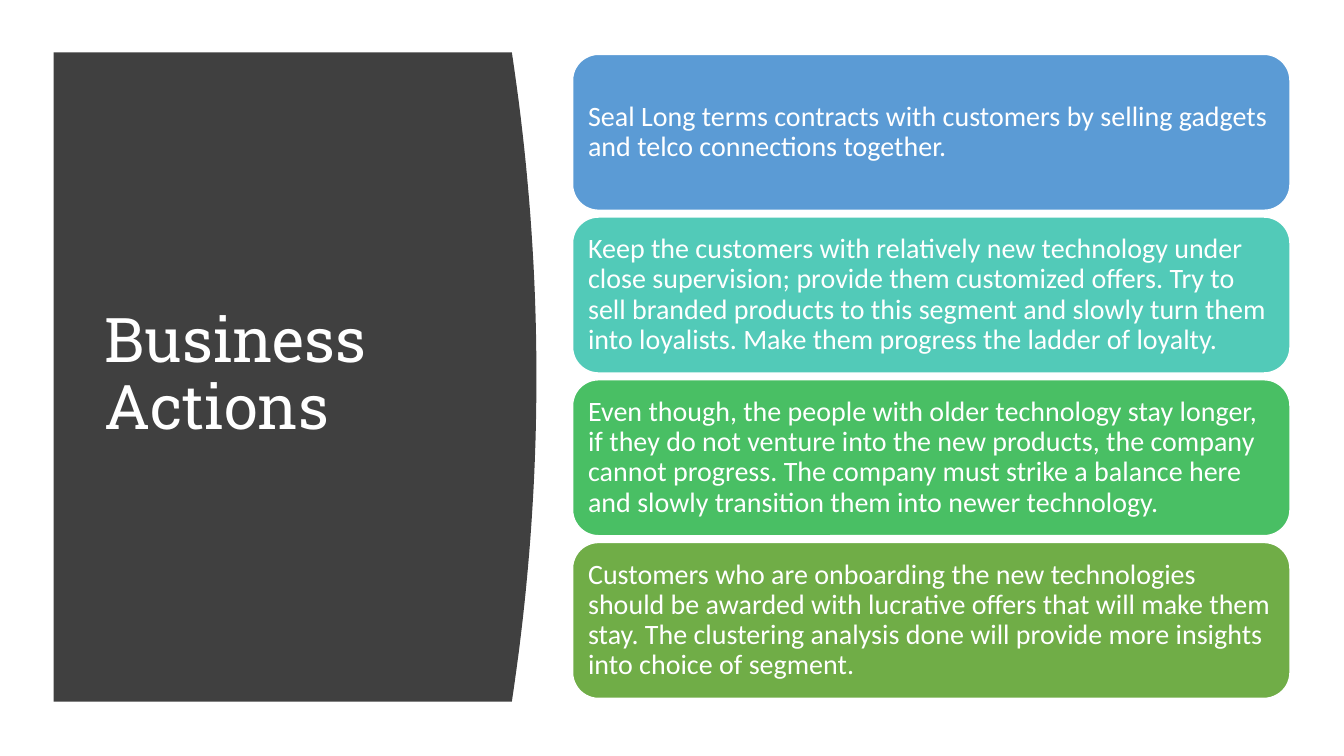
"""Build the Business Actions slide: a curved title panel and four action cards."""
from pptx import Presentation
from pptx.dml.color import RGBColor
from pptx.enum import shapes, text
from pptx.util import Cm, Pt

WHITE = RGBColor(0xFF, 0xFF, 0xFF)
CHARCOAL = RGBColor(0x40, 0x40, 0x40)
BLUE = RGBColor(0x5B, 0x9B, 0xD5)
TEAL = RGBColor(0x52, 0xCA, 0xB8)
GREEN = RGBColor(0x49, 0xBF, 0x64)
OLIVE = RGBColor(0x70, 0xAD, 0x47)

ACTIONS = [
    (BLUE, "Seal Long terms contracts with customers by selling gadgets and telco "
           "connections together."),
    (TEAL, "Keep the customers with relatively new technology under close supervision; "
           "provide them customized offers. Try to sell branded products to this segment "
           "and slowly turn them into loyalists. Make them progress the ladder of loyalty."),
    (GREEN, "Even though, the people with older technology stay longer, if they do not "
            "venture into the new products, the company cannot progress. The company must "
            "strike a balance here and slowly transition them into newer technology."),
    (OLIVE, "Customers who are onboarding the new technologies should be awarded with "
            "lucrative offers that will make them stay. The clustering analysis done will "
            "provide more insights into choice of segment."),
]


def write(shape, words, *, font, size, inset_x, inset_y):
    frame = shape.text_frame
    frame.word_wrap = True
    frame.vertical_anchor = text.MSO_ANCHOR.MIDDLE
    frame.margin_left = frame.margin_right = Cm(inset_x)
    frame.margin_top = frame.margin_bottom = Cm(inset_y)
    para = frame.paragraphs[0]
    para.alignment = text.PP_ALIGN.LEFT
    para.line_spacing = 0.9
    span = para.add_run()
    span.text = words
    span.font.name = font
    span.font.size = Pt(size)
    span.font.color.rgb = WHITE


deck = Presentation()
deck.slide_width, deck.slide_height = Cm(33.87), Cm(19.05)
page = deck.slides.add_slide(deck.slide_layouts[6])

panel_left, panel_right, panel_top, panel_height = 1.35, 12.9, 1.32, 16.36
bulge, steps = 0.62, 40
edge = []
for step in range(steps + 1):
    t = step / steps
    edge.append((Cm(panel_right + bulge * 4 * t * (1 - t)), Cm(panel_top + panel_height * t)))
outline = page.shapes.build_freeform(Cm(panel_left), Cm(panel_top))
outline.add_line_segments(edge + [(Cm(panel_left), Cm(panel_top + panel_height))], close=True)
panel = outline.convert_to_shape()
panel.shadow.inherit = False
panel.fill.solid()
panel.fill.fore_color.rgb = CHARCOAL
panel.line.fill.background()

title = page.shapes.add_textbox(Cm(2.39), Cm(2.82), Cm(9.5), Cm(13.31))
write(title, "Business Actions", font="Roboto Slab", size=44, inset_x=0.25, inset_y=0.13)

card_top, card_pitch = 1.37, 4.1
for row, (color, words) in enumerate(ACTIONS):
    card = page.shapes.add_shape(
        shapes.MSO_SHAPE.ROUNDED_RECTANGLE,
        Cm(14.43), Cm(card_top + row * card_pitch), Cm(18.08), Cm(3.93))
    card.shadow.inherit = False
    card.fill.solid()
    card.fill.fore_color.rgb = color
    card.line.color.rgb = WHITE
    card.line.width = Pt(1)
    write(card, words, font="Calibri", size=20, inset_x=0.2, inset_y=0.2)

deck.save("out.pptx")
